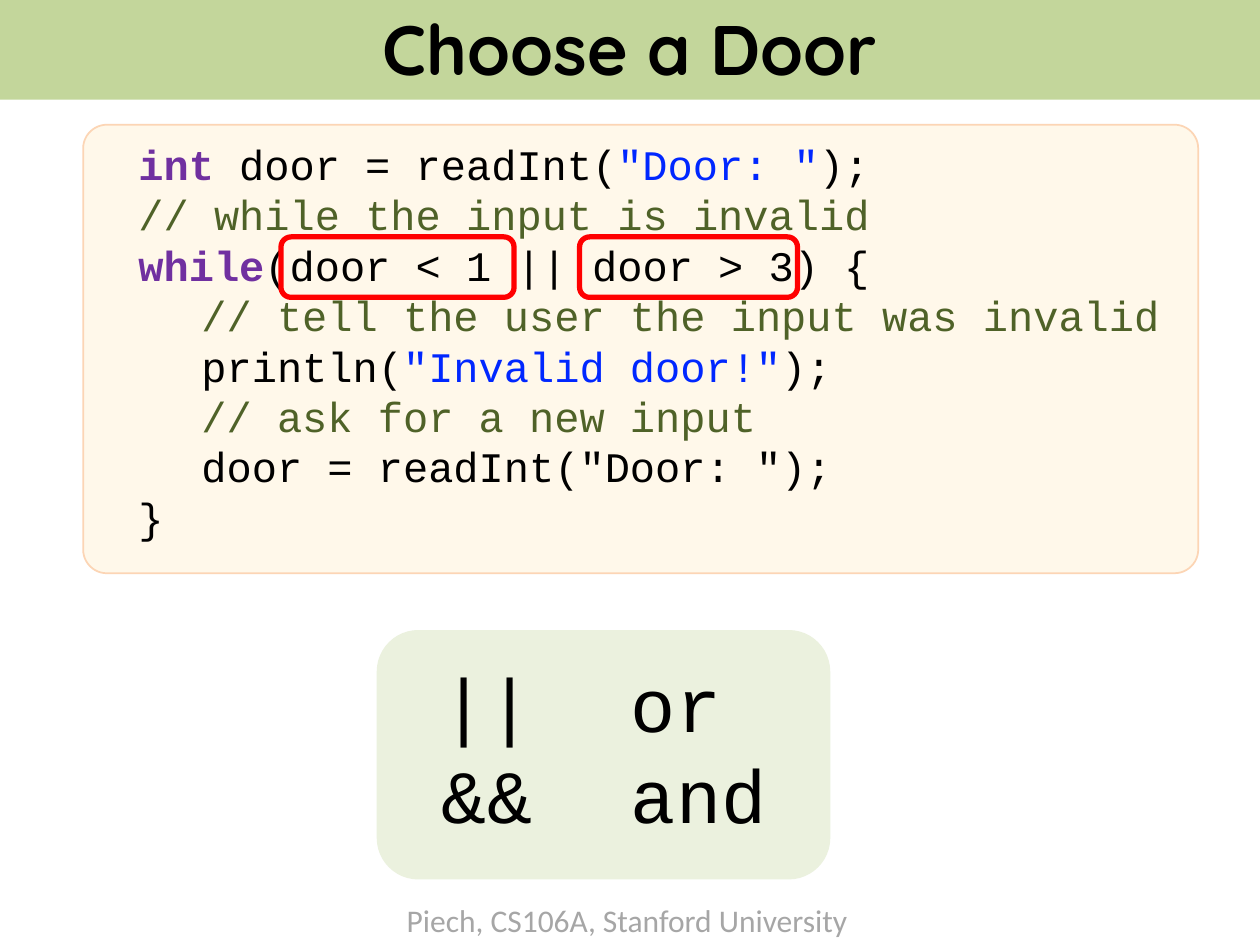
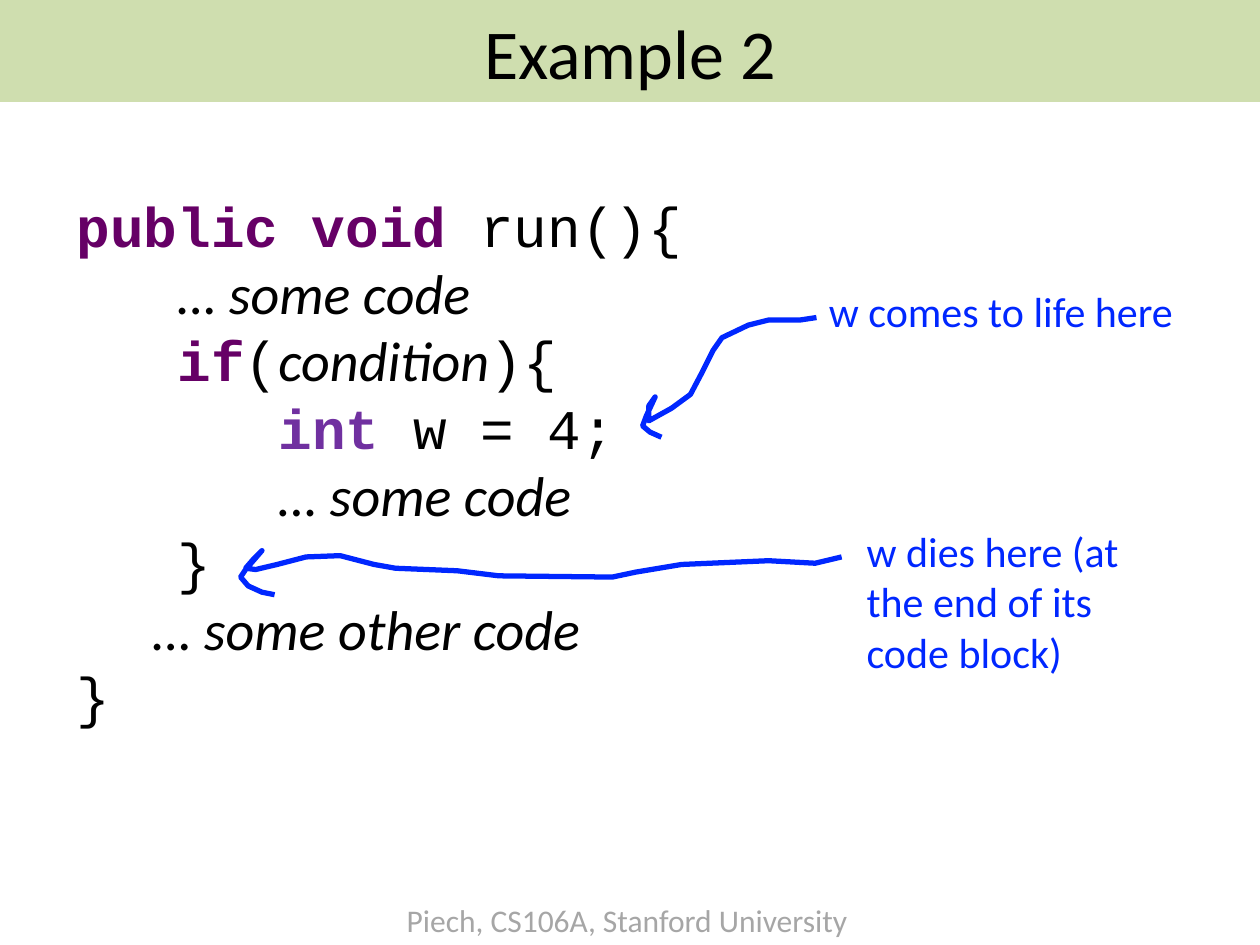
from lxml.etree import SubElement
from pptx import Presentation
from pptx.dml.color import RGBColor
from pptx.enum.shapes import MSO_SHAPE
from pptx.enum.text import MSO_ANCHOR, PP_ALIGN
from pptx.oxml.ns import qn
from pptx.util import Emu, Inches, Pt

COLS, ROWS = 40, 30
BLACK, BLUE, BAND = "000000", "0027FF", "C3D69B"
CODE, PROSE = "Courier New", "Calibri"

# style name: font, colour, bold, italic
STYLES = {
    "code": (CODE, BLACK, False, False),
    "type": (CODE, "7030A0", True, False),
    "keyword": (CODE, "660066", True, False),
    "string": (CODE, BLUE, False, False),
    "comment": (CODE, "4F6228", False, False),
    "pseudo": (PROSE, BLACK, False, True),
    "note": (PROSE, BLUE, False, False),
    "footer": (PROSE, "A6A6A6", False, False),
    "title": (PROSE, BLACK, False, False),
    "bold title": ("Quicksand", BLACK, True, False),
}


def rgb(color):
    return RGBColor.from_string(color)


class Deck:
    """Holds the presentation and the current slide; lengths are grid cells."""

    def __init__(self):
        self.prs = Presentation()
        self.prs.slide_width, self.prs.slide_height = Inches(10), Inches(7.5)
        self.col = self.prs.slide_width // COLS
        self.row = self.prs.slide_height // ROWS
        self.s = None

    def point(self, x, y):
        return Emu(round(x * self.col)), Emu(round(y * self.row))

    def slide(self):
        self.s = self.prs.slides.add_slide(self.prs.slide_layouts[6])
        self.text((12.52, 28.4, 14.96, 1.6), 18,
                  [[("Piech, CS106A, Stanford University", "footer")]], wrap=False)

    def paint(self, sp, fill=None, line=None, width=1):
        sp.shadow.inherit = False
        if fill:
            sp.fill.solid()
            sp.fill.fore_color.rgb = rgb(fill)
        else:
            sp.fill.background()
        if line:
            sp.line.color.rgb = rgb(line)
            sp.line.width = Pt(width)
        else:
            sp.line.fill.background()

    def box(self, at, fill=None, line=None, width=1, corner=0.1667):
        """Draw a rounded rectangle, or a plain one when corner is 0."""
        kind = MSO_SHAPE.ROUNDED_RECTANGLE if corner else MSO_SHAPE.RECTANGLE
        sp = self.s.shapes.add_shape(kind, *self.point(*at[:2]), *self.point(*at[2:]))
        if corner:
            sp.adjustments[0] = corner
        self.paint(sp, fill, line, width)
        return sp

    def add_lines(self, tf, size, lines, align=None):
        for i, line in enumerate(lines):
            p = tf.paragraphs[0] if i == 0 else tf.add_paragraph()
            if any("\t" in text for text, _ in line):
                tabs = SubElement(p._p.get_or_add_pPr(), qn("a:tabLst"))
                for stop in (2, 4, 6):
                    SubElement(tabs, qn("a:tab"), pos=str(stop * self.col), algn="l")
            if align is not None:
                p.alignment = align
            for text, style in line:
                font, color, bold, italic = STYLES[style]
                r = p.add_run()
                r.text = text
                r.font.name, r.font.size = font, Pt(size)
                r.font.bold, r.font.italic = bold, italic
                r.font.color.rgb = rgb(color)

    def text(self, at, size, lines, wrap=True):
        sp = self.s.shapes.add_textbox(*self.point(*at[:2]), *self.point(*at[2:]))
        sp.text_frame.word_wrap = wrap
        self.add_lines(sp.text_frame, size, lines)

    def title(self, text, style, top, height, opacity=100):
        sp = self.box((0, top, COLS, height), fill=BAND, corner=0)
        if opacity < 100:
            color = sp._element.spPr.find(qn("a:solidFill"))[0]
            SubElement(color, qn("a:alpha"), val=str(opacity * 1000))
        sp.text_frame.vertical_anchor = MSO_ANCHOR.MIDDLE
        self.add_lines(sp.text_frame, 40, [[(text, style)]], PP_ALIGN.CENTER)

    def stroke(self, points):
        """Draw an open hand-drawn line through the points."""
        start, *rest = [self.point(*xy) for xy in points]
        builder = self.s.shapes.build_freeform(*start)
        builder.add_line_segments(rest, close=False)
        self.paint(builder.convert_to_shape(), line=BLUE, width=3)


def choose_a_door(deck):
    deck.slide()
    deck.box((2.64, 3.96, 35.4, 14.24), fill="FFF8EA", line="FCD5B5", corner=0.053)
    deck.box((11.96, 20, 14.4, 7.92), fill="EBF1DE")
    deck.title("Choose a Door", "bold title", -0.12, 3.28)
    deck.text((4, 4.2, 44.2, 13.32), 24, [
        [("int ", "type"), ("door = readInt(", "code"), ('"Door: "', "string"),
         (");", "code")],
        [("// while the input is invalid", "comment")],
        [("while", "type"), ("(door < 1 || door > 3) {", "code")],
        [("\t", "code"), ("// tell the user the input was invalid", "comment")],
        [("\tprintln(", "code"), ('"Invalid door!"', "string"), (");", "code")],
        [("\t", "code"), ("// ask for a new input", "comment")],
        [('\tdoor = readInt("Door: ");', "code")],
        [("}", "code")],
    ])
    deck.text((13.64, 20.68, 12.12, 6.2), 43,
              [[("||\t\tor", "code")], [("&&\t\tand", "code")]])
    for left, width in ((8.92, 7.4), (18.4, 6.92)):
        deck.box((left, 7.52, width, 1.92), line="FF0000", width=3)


def example_2(deck):
    deck.slide()
    deck.text((2.04, 5.88, 20.24, 21.96), 32, [
        [("public void ", "keyword"), ("run(){", "code")],
        [("   ", "keyword"), ("… some code", "pseudo")],
        [("   if", "keyword"), ("(", "code"), ("condition", "pseudo"), ("){", "code")],
        [("      ", "code"), ("int ", "type"), ("w = 4;", "code")],
        [("      ", "code"), ("… some code", "pseudo")],
        [("   }", "code")],
        [("      … some other code", "pseudo")],
        [("}", "code")],
    ], wrap=False)
    deck.text((27.12, 16.48, 9.6, 5.24), 24,
              [[("w dies here (at the end of its code block)", "note")]])
    deck.title("Example 2", "title", 0, 3.24, opacity=80)
    deck.text((25.92, 8.88, 11.84, 2), 24, [[("w comes to life here", "note")]], wrap=False)

    birth_arrow = [
        (25.92, 10.08), (25.4, 10.16), (24.4, 10.16), (23.76, 10.32), (22.92, 10.72),
        (22.64, 11.12), (22.28, 11.84), (21.92, 12.52), (21.32, 12.96), (20.6, 13.36),
        (20.6, 12.88), (20.8, 12.6), (20.52, 13.2), (20.4, 13.52), (20.64, 13.72),
        (21, 13.88)]
    death_arrow = [
        (26.72, 17.68), (25.88, 17.88), (24.4, 17.8), (21.64, 17.92), (20.2, 18.16),
        (19.44, 18.32), (15.84, 18.28), (14.52, 18.12), (12.56, 18.04), (11.88, 17.92),
        (10.8, 17.64), (9.72, 17.68), (8.8, 17.92), (8.12, 18.08), (7.8, 18.04),
        (8.04, 17.76), (8.32, 17.48), (7.8, 18.08), (7.64, 18.32), (7.88, 18.6),
        (8.32, 18.8), (8.72, 18.88)]
    for arrow in (birth_arrow, death_arrow):
        deck.stroke(arrow)


def main():
    deck = Deck()
    choose_a_door(deck)
    example_2(deck)
    deck.prs.save("out.pptx")


if __name__ == "__main__":
    main()
